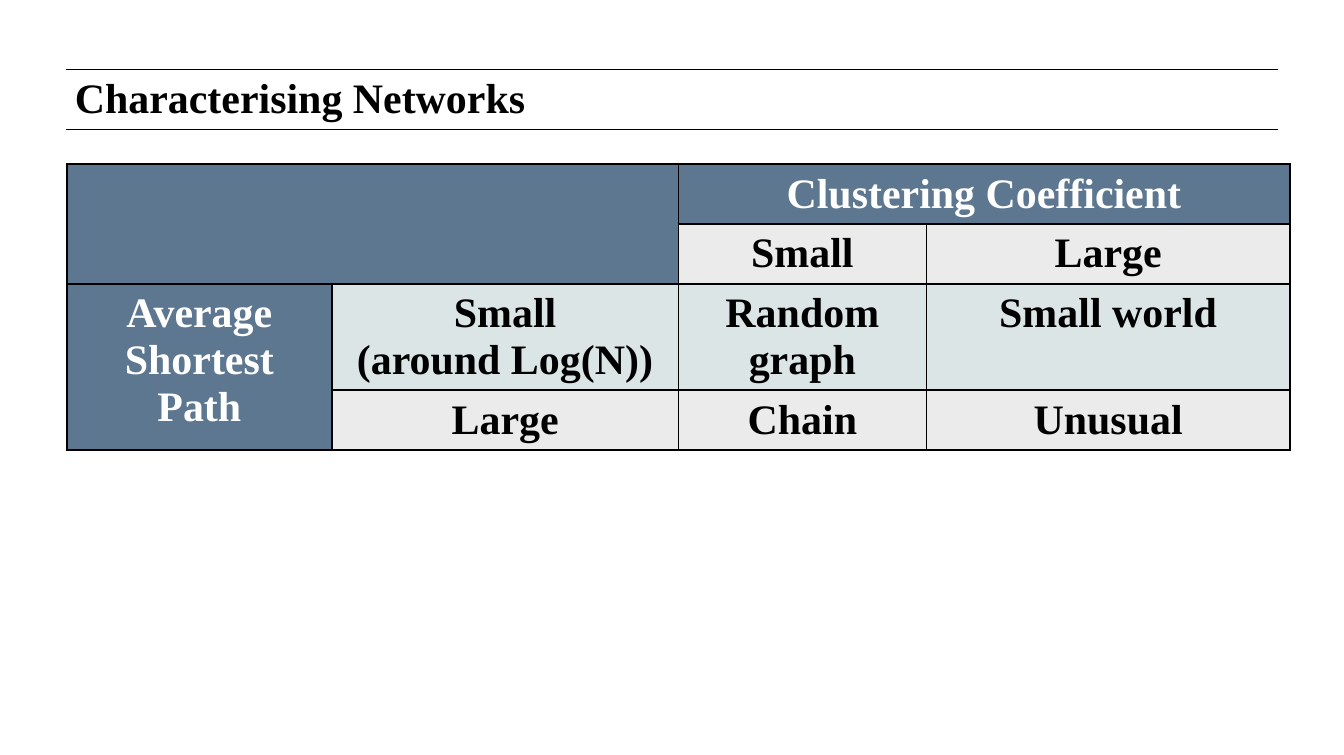
from lxml import etree
from pptx import Presentation
from pptx import util as u
from pptx.dml.color import RGBColor
from pptx.enum import shapes, text
from pptx.oxml import ns

BLACK = RGBColor(0x00, 0x00, 0x00)
WHITE = RGBColor(0xFF, 0xFF, 0xFF)
HEADER_BLUE = RGBColor(0x5E, 0x77, 0x90)
PALE_GREY = RGBColor(0xEB, 0xEB, 0xEB)
PALE_TEAL = RGBColor(0xDC, 0xE5, 0xE6)


def style_paragraph(paragraph, color, alignment):
    paragraph.alignment = alignment
    paragraph.font.name = "Times New Roman"
    paragraph.font.size = u.Pt(23)
    paragraph.font.bold = True
    paragraph.font.color.rgb = color


def add_borders(cell):
    properties = cell._tc.get_or_add_tcPr()
    for side in ("a:lnL", "a:lnR", "a:lnT", "a:lnB"):
        border = etree.SubElement(properties, ns.qn(side), w=str(u.Pt(1)))
        fill = etree.SubElement(border, ns.qn("a:solidFill"))
        etree.SubElement(fill, ns.qn("a:srgbClr"), val=str(BLACK))


presentation = Presentation()
presentation.slide_width = u.Inches(10.24)
presentation.slide_height = u.Inches(5.75)
slide = presentation.slides.add_slide(presentation.slide_layouts[5])

for y in (0.53, 0.99):
    rule = slide.shapes.add_connector(
        shapes.MSO_CONNECTOR.STRAIGHT,
        u.Inches(0.5), u.Inches(y), u.Inches(9.74), u.Inches(y))
    rule.line.color.rgb = BLACK
    rule.line.width = u.Pt(0.5)
    etree.SubElement(rule._element.spPr, ns.qn("a:effectLst"))

title = slide.shapes.title
title.left, title.top = u.Inches(0.51), u.Inches(0.55)
title.width, title.height = u.Inches(8.61), u.Inches(0.52)
frame = title.text_frame
frame.text = "Characterising Networks"
frame.auto_size = text.MSO_AUTO_SIZE.NONE
frame.vertical_anchor = text.MSO_ANCHOR.TOP
frame.margin_left = frame.margin_right = u.Inches(0.06)
frame.margin_top = frame.margin_bottom = u.Inches(0.06)
frame.paragraphs[0].line_spacing = u.Pt(23)
style_paragraph(frame.paragraphs[0], BLACK, text.PP_ALIGN.LEFT)

column_widths = (2.02, 2.64, 1.89, 2.77)
row_heights = (0.45, 0.45, 0.81, 0.45)
rows = (
    ("", "", "Clustering Coefficient", ""),
    ("", "", "Small", "Large"),
    ("Average Shortest Path", "Small\n(around Log(N))", "Random graph", "Small world"),
    ("", "Large", "Chain", "Unusual"),
)
row_fills = (HEADER_BLUE, PALE_GREY, PALE_TEAL, PALE_GREY)
merges = ((0, 0, 1, 1), (0, 2, 0, 3), (2, 0, 3, 0))

table = slide.shapes.add_table(
    len(rows), len(column_widths), u.Inches(0.51), u.Inches(1.25),
    u.Inches(sum(column_widths)), u.Inches(sum(row_heights))).table
for column, width in zip(table.columns, column_widths):
    column.width = u.Inches(width)
for row, height in zip(table.rows, row_heights):
    row.height = u.Inches(height)
for top, left, bottom, right in merges:
    table.cell(top, left).merge(table.cell(bottom, right))

for row_index, labels in enumerate(rows):
    for column_index, label in enumerate(labels):
        cell = table.cell(row_index, column_index)
        is_header = (row_index == 0 or column_index == 0
                     or (row_index == 1 and column_index == 1))
        add_borders(cell)
        cell.fill.solid()
        cell.fill.fore_color.rgb = HEADER_BLUE if is_header else row_fills[row_index]
        if label:
            cell.text = label
            for paragraph in cell.text_frame.paragraphs:
                style_paragraph(paragraph, WHITE if is_header else BLACK,
                                text.PP_ALIGN.CENTER)

presentation.save("out.pptx")
